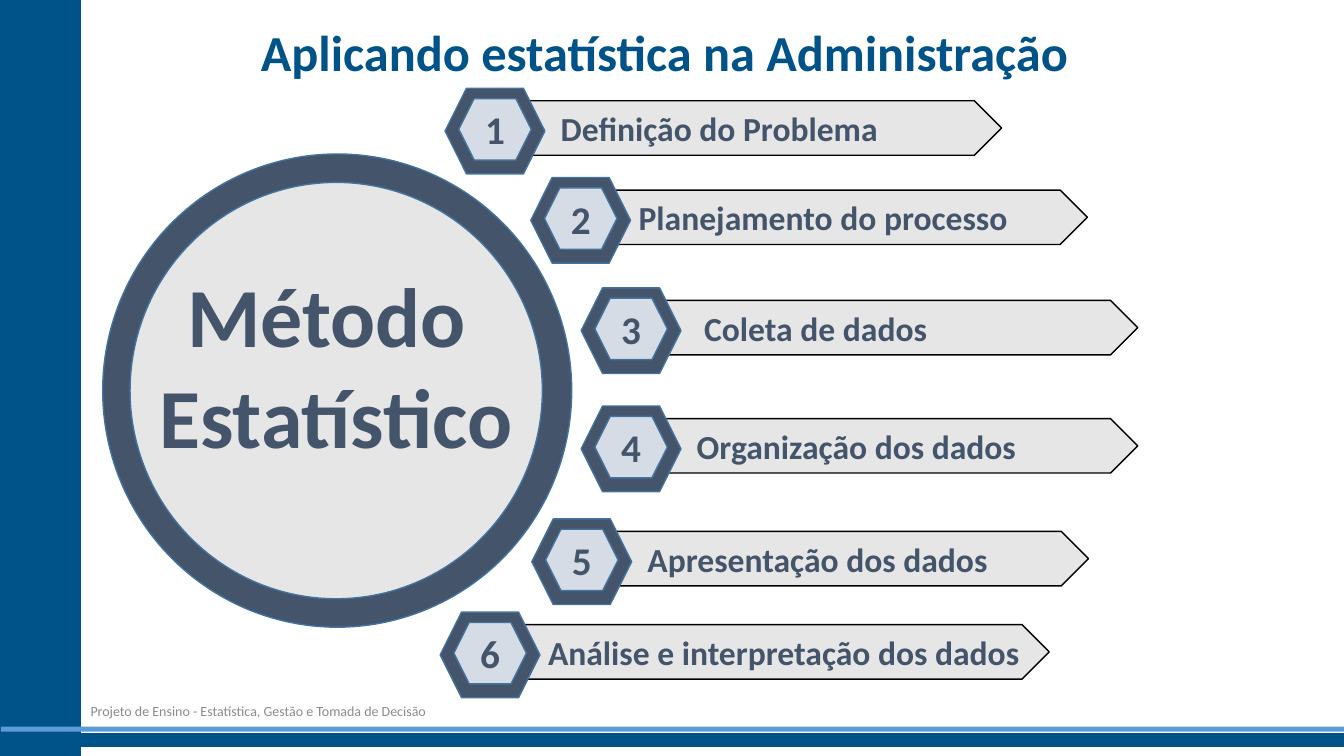
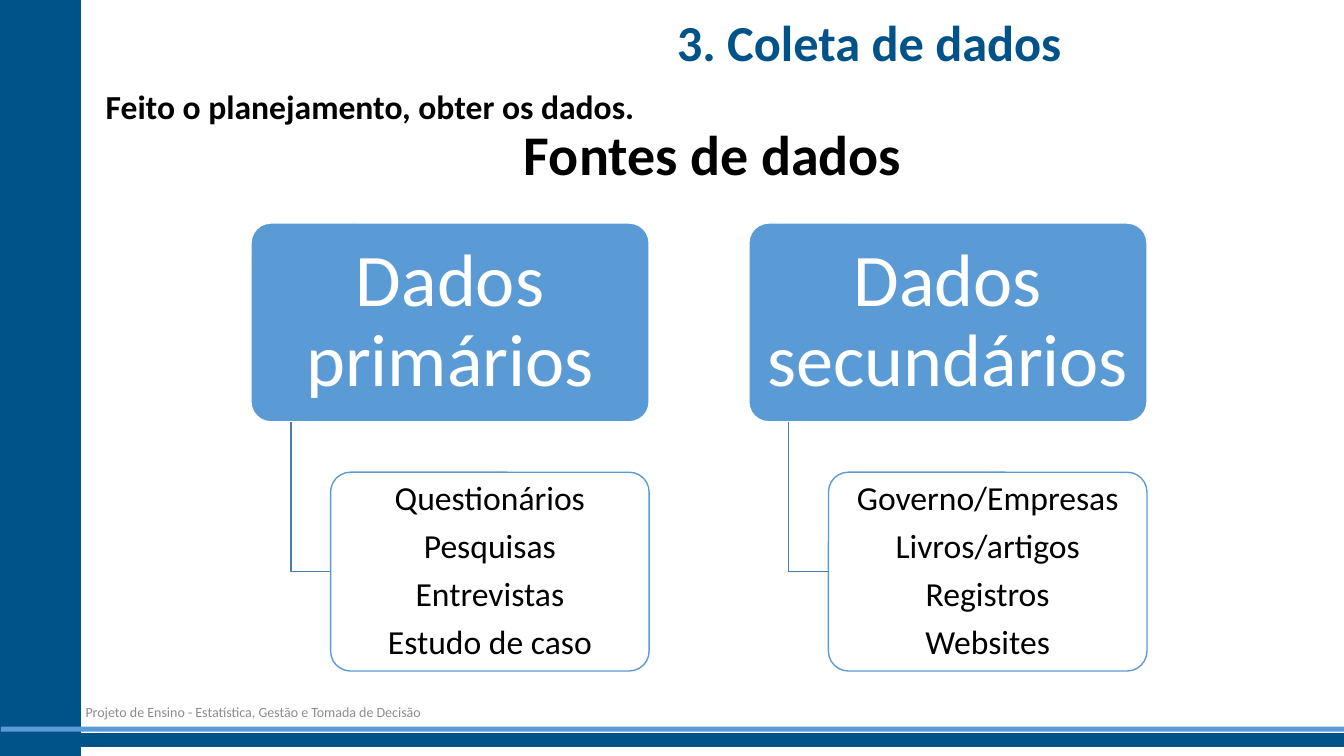
from dataclasses import dataclass
from pptx import Presentation
from pptx.dml.color import RGBColor
from pptx.enum.shapes import MSO_SHAPE
from pptx.enum.text import MSO_ANCHOR, PP_ALIGN
from pptx.util import Pt

RECT, OVAL, ROUND = MSO_SHAPE.RECTANGLE, MSO_SHAPE.OVAL, MSO_SHAPE.ROUNDED_RECTANGLE
ARROW, HEX = MSO_SHAPE.PENTAGON, MSO_SHAPE.HEXAGON
LEFT, MID, RIGHT = PP_ALIGN.LEFT, PP_ALIGN.CENTER, PP_ALIGN.RIGHT
TOP, CENTER = MSO_ANCHOR.TOP, MSO_ANCHOR.MIDDLE


@dataclass(frozen=True)
class Theme:
    font: str = "Calibri"
    navy: str = "005388"
    blue: str = "5B9BD5"
    slate: str = "44546A"
    edge: str = "43739E"
    link: str = "497CAB"
    pale: str = "D6DCE5"
    gray: str = "E7E6E6"
    dim: str = "8C8C8C"
    black: str = "000000"
    white: str = "FFFFFF"
    small: int = 10
    body: int = 24
    digit: int = 28
    title: int = 36
    head: int = 40
    card: int = 53
    huge: int = 60


T = Theme()
WIDE, HIGH = 960, 540

# Content
FOOT = "Projeto de Ensino - Estatística, Gestão e Tomada de Decisão"
METHOD = {"title": "Aplicando estatística na Administração",
          "core": ["Método ", "Estatístico"]}
# label, arrow left, arrow top, arrow width, label indent
STEPS = [
    ("Definição do Problema", 371.5, 72, 344, 29),
    ("Planejamento do processo", 432.7, 135.8, 344, 23.5),
    ("Coleta de dados", 468.7, 214.6, 344, 34.3),
    ("Organização dos dados", 468.7, 299, 344, 29),
    ("Apresentação dos dados", 433.5, 379.6, 344, 29),
    ("Análise e interpretação dos dados", 368, 446.2, 381.5, 23.5),
]
DATA = {"title": "3. Coleta de dados",
        "lead": "Feito o planejamento, obter os dados.",
        "head": "Fontes de dados"}
CARDS = [
    ("Dados primários",
     ["Questionários", "Pesquisas", "Entrevistas", "Estudo de caso"]),
    ("Dados secundários",
     ["Governo/Empresas", "Livros/artigos", "Registros", "Websites"]),
]


# Helpers
def rgb(tone):
    return RGBColor.from_string(tone)


def write(shape, text, size=T.body, color=T.black, bold=False, align=LEFT,
          anchor=TOP, pad=(7.2, 3.6, 7.2, 3.6), lead=None, after=None, wrap=True):
    frame = shape.text_frame
    frame.word_wrap = wrap
    frame.vertical_anchor = anchor
    (frame.margin_left, frame.margin_top,
     frame.margin_right, frame.margin_bottom) = map(Pt, pad)
    rows = [text] if isinstance(text, str) else text
    for i, row in enumerate(rows):
        par = frame.add_paragraph() if i else frame.paragraphs[0]
        par.alignment = align
        if lead:
            par.line_spacing = lead
        if after:
            par.space_after = Pt(after)
        run = par.add_run()
        run.text = row
        font = run.font
        font.name, font.size, font.bold = T.font, Pt(size), bold
        font.color.rgb = rgb(color)


def label(slide, text, box, **style):
    write(slide.shapes.add_textbox(*map(Pt, box)), text, **style)


def paint(shape, fill=None, line=None):
    shape.shadow.inherit = False
    if fill:
        shape.fill.solid()
        shape.fill.fore_color.rgb = rgb(fill)
    else:
        shape.fill.background()
    if line:
        shape.line.color.rgb = rgb(line)
        shape.line.width = Pt(1)
    else:
        shape.line.fill.background()


def draw(slide, kind, box, fill, line=None, adj=None):
    shape = slide.shapes.add_shape(kind, *map(Pt, box))
    paint(shape, fill, line)
    if adj is not None:
        shape.adjustments[0] = adj
    return shape


# Shared frame: side band, bottom bands, footer, title
def start(deck, title, title_at, foot_at):
    slide = deck.slides.add_slide(deck.slide_layouts[6])
    draw(slide, RECT, (0, 0, 57.6, HIGH), T.navy, T.navy)
    draw(slide, RECT, (0, 524.2, WIDE, 8.6), T.navy, T.navy)
    draw(slide, RECT, (0.7, 519, WIDE, 3.6), T.blue)
    label(slide, FOOT, (*foot_at, 828.7, 28.8), size=T.small, color=T.dim,
          anchor=CENTER)
    label(slide, title, (*title_at, 697, 53.3), size=T.title, color=T.navy,
          bold=True, align=RIGHT)
    return slide


# Slide 1: method steps
def method(deck):
    slide = start(deck, METHOD["title"], (73.4, 11.5), (57.6, 493.2))
    draw(slide, OVAL, (73.4, 110, 335, 338), T.slate, T.edge)
    draw(slide, OVAL, (92.9, 130.3, 294.5, 297.4), T.gray, T.edge)
    label(slide, METHOD["core"], (0, 185, 480, 152.6), size=T.huge,
          color=T.slate, bold=True, align=MID)
    for num, (text, x, y, wide, pad) in enumerate(STEPS, 1):
        bar = draw(slide, ARROW, (x, y, wide, 38.9), T.gray, T.black)
        write(bar, text, color=T.slate, bold=True, anchor=CENTER,
              pad=(pad, 3.6, 3.6, 3.6))
        left, top = x - 53.6, y - 9
        draw(slide, HEX, (left, top, 71.3, 61.2), T.slate, T.edge)
        badge = draw(slide, HEX, (left + 9.8, top + 7.4, 51.8, 43.9), T.pale, T.edge)
        write(badge, str(num), size=T.digit, color=T.slate, bold=True,
              align=MID, anchor=CENTER, pad=(0, 0, 0, 0))


# Slide 2: data sources
def sources(deck):
    slide = start(deck, DATA["title"], (68.4, 4.3), (54, 494))
    label(slide, DATA["lead"], (68.4, 57.6, 891, 52.6), bold=True)
    label(slide, DATA["head"], (367.2, 82, 287.3, 55.4), size=T.head,
          bold=True, wrap=False)
    wide, high, step, gap = 284.4, 142, 355.6, 36
    top = 159.3
    low = top + high + gap
    for i, (name, items) in enumerate(CARDS):
        x = 179.3 + i * step
        card = draw(slide, ROUND, (x, top, wide, high), T.blue, T.white, 0.1)
        write(card, name, size=T.card, color=T.white, align=MID, anchor=CENTER,
              pad=(7, 5, 7, 5), lead=0.9, after=18.5)
        stem, inner = x + wide / 10, x + wide / 5
        path = slide.shapes.build_freeform(Pt(stem), Pt(top + high))
        joint = low + high / 2
        path.add_line_segments([(Pt(stem), Pt(joint)), (Pt(inner), Pt(joint))],
                               close=False)
        paint(path.convert_to_shape(), line=T.link)
        box = draw(slide, ROUND, (inner, low, wide * 0.8, high), T.white, T.blue, 0.1)
        write(box, items, align=MID, anchor=CENTER, pad=(3.6, 2.2, 3.6, 2.2),
              lead=0.9, after=8.4)


def main():
    deck = Presentation()
    deck.slide_width, deck.slide_height = Pt(WIDE), Pt(HIGH)
    method(deck)
    sources(deck)
    deck.save("out.pptx")


if __name__ == "__main__":
    main()
